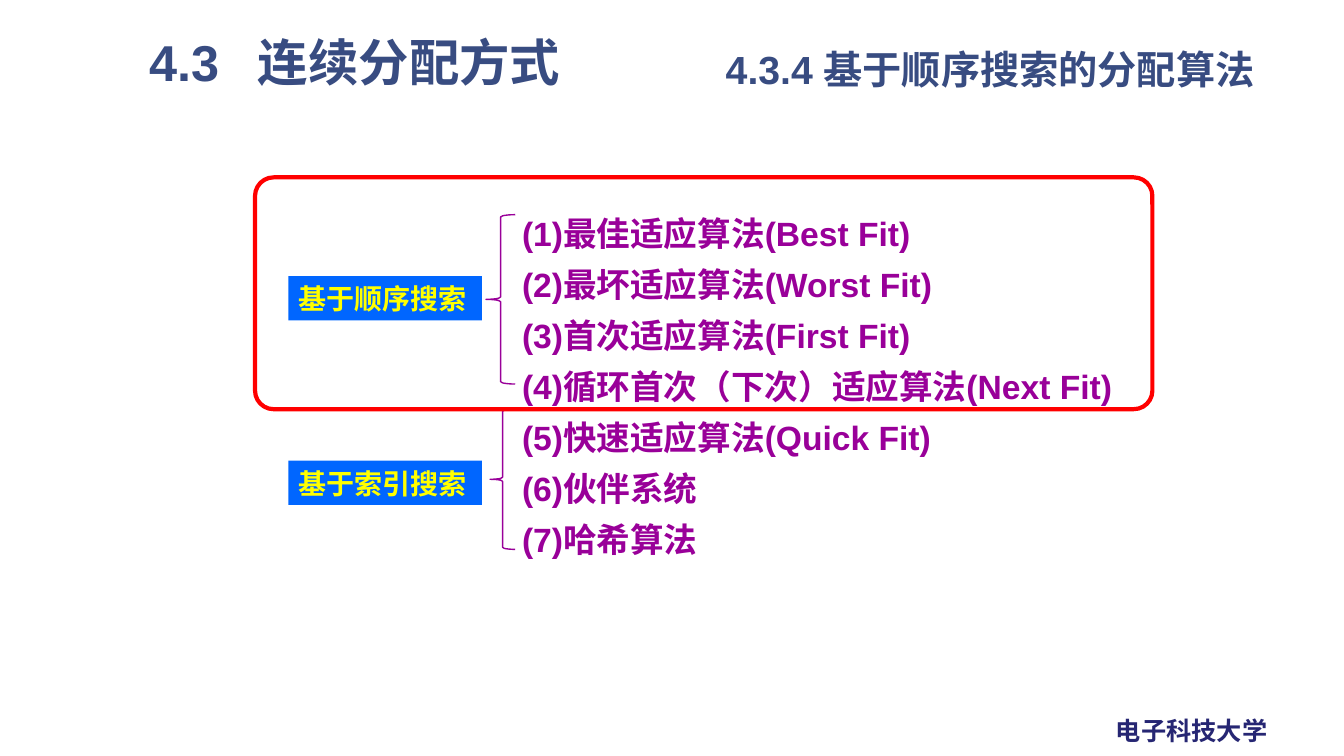
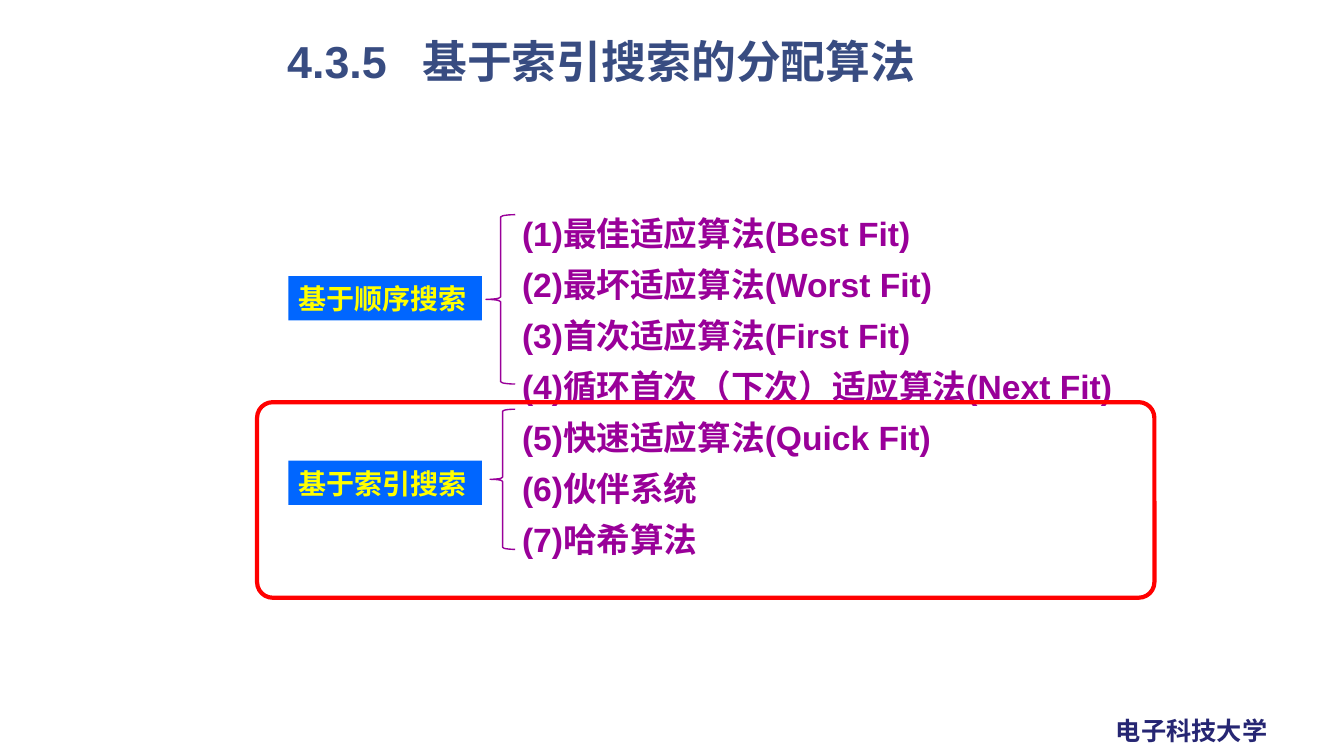
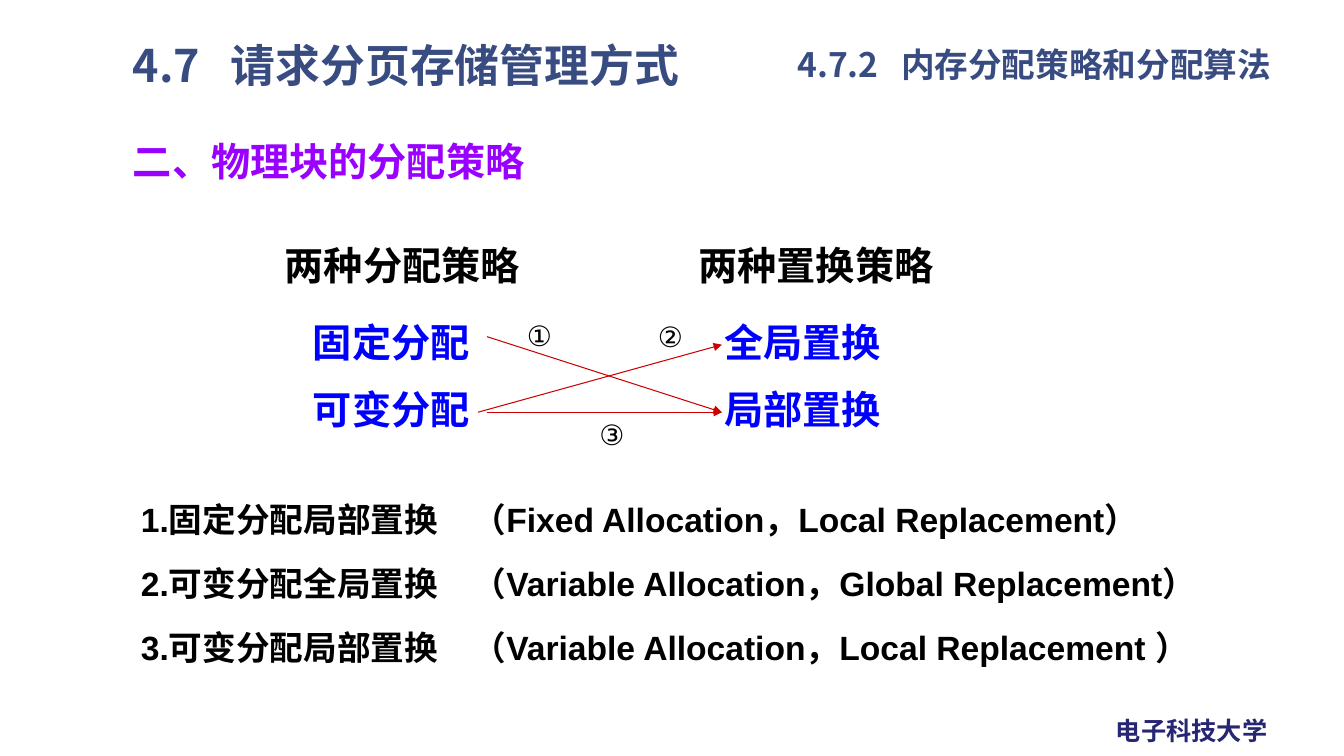
from lxml import etree
from pptx import Presentation
from pptx.dml.color import RGBColor
from pptx.enum.shapes import MSO_CONNECTOR, MSO_SHAPE
from pptx.enum.text import MSO_ANCHOR, PP_ALIGN
from pptx.oxml.ns import qn
from pptx.util import Inches, Pt

LEFT, CENTER = PP_ALIGN.LEFT, PP_ALIGN.CENTER
MIDDLE = MSO_ANCHOR.MIDDLE
RECT, ROUND = MSO_SHAPE.RECTANGLE, MSO_SHAPE.ROUNDED_RECTANGLE
BRACE = MSO_SHAPE.LEFT_BRACE
STRAIGHT = MSO_CONNECTOR.STRAIGHT

NAVY = RGBColor(0x26, 0x26, 0x73)
SLATE = RGBColor(0x38, 0x4C, 0x81)
PURPLE = RGBColor(0x99, 0x00, 0x99)
VIOLET = RGBColor(0x99, 0x00, 0xFF)
BLUE = RGBColor(0x00, 0x00, 0xFF)
AZURE = RGBColor(0x00, 0x66, 0xFF)
YELLOW = RGBColor(0xFF, 0xFF, 0x00)
RED = RGBColor(0xFF, 0x00, 0x00)
CRIMSON = RGBColor(0xCC, 0x00, 0x00)
BLACK = RGBColor(0x00, 0x00, 0x00)

ARIAL, NOTO = "Arial", "Noto Sans CJK SC"

METHODS = [
    "(1)最佳适应算法(Best Fit)",
    "(2)最坏适应算法(Worst Fit)",
    "(3)首次适应算法(First Fit)",
    "(4)循环首次（下次）适应算法(Next Fit)",
    "(5)快速适应算法(Quick Fit)",
    "(6)伙伴系统",
    "(7)哈希算法",
]
GROUPS = [
    ("基于顺序搜索", 2.74, (4.82, 2.13, 0.29, 1.68)),
    ("基于索引搜索", 4.57, (4.86, 4.06, 0.25, 1.39)),
]
PAIRS = [
    ("固定分配", "可变分配", 3),
    ("全局置换", "局部置换", 7.08),
]
ARROWS = [
    ("①", 4.83, 3.34, 4.09, 5.11, 3.11),
    ("②", 4.74, 4.09, 3.42, 6.41, 3.12),
    ("③", 4.83, 4.09, 4.09, 5.83, 4.09),
]
RESULTS = [
    "1.固定分配局部置换\t（Fixed Allocation，Local Replacement）",
    "2.可变分配全局置换\t（Variable Allocation，Global Replacement）",
    "3.可变分配局部置换\t（Variable Allocation，Local Replacement ）",
]


class Deck:
    def __init__(self):
        self.show = Presentation()
        self.show.slide_width = Inches(13.33)
        self.show.slide_height = Inches(7.5)
        self.slide = None

    def page(self):
        self.slide = self.show.slides.add_slide(self.show.slide_layouts[6])
        self.text((10.97, 7.05, 1.72, 0.4), ["电子科技大学"], 18, NAVY)

    def label(self, shape, lines, size, color, align=LEFT, font=ARIAL,
              bold=True, tab=None, pitch=None):
        frame = shape.text_frame
        frame.word_wrap = True
        frame.vertical_anchor = MIDDLE
        if align == CENTER:
            frame.margin_left = frame.margin_right = 0
        for i, line in enumerate(lines):
            para = frame.paragraphs[0] if i == 0 else frame.add_paragraph()
            para.text = line
            para.alignment = align
            if pitch:
                para.line_spacing = Pt(1.2 * size)
                if i:
                    para.space_before = Pt(pitch - 1.2 * size)
            props = para._p.get_or_add_pPr()
            if tab:
                stops = etree.SubElement(props, qn("a:tabLst"))
                etree.SubElement(stops, qn("a:tab"),
                                 pos=str(Inches(tab)), algn="l")
            face = para.font
            face.size, face.bold, face.name = Pt(size), bold, font
            face.color.rgb = color
            etree.SubElement(props.find(qn("a:defRPr")), qn("a:ea"),
                             typeface=NOTO)

    def text(self, place, lines, size, color, **style):
        box = self.slide.shapes.add_textbox(*map(Inches, place))
        self.label(box, lines, size, color, **style)

    def title(self, place, line, size, **style):
        self.text(place, [line], size, SLATE, **style)

    def shape(self, kind, place, fill=None, line=None, width=1, bend=None):
        item = self.slide.shapes.add_shape(kind, *map(Inches, place))
        item.shadow.inherit = False
        if fill is None:
            item.fill.background()
        else:
            item.fill.solid()
            item.fill.fore_color.rgb = fill
        if line is None:
            item.line.fill.background()
        else:
            item.line.color.rgb = line
            item.line.width = Pt(width)
        if bend:
            item.adjustments[0] = bend
        return item

    def arrow(self, *ends):
        link = self.slide.shapes.add_connector(STRAIGHT, *map(Inches, ends))
        link.line.color.rgb = CRIMSON
        link.line.width = Pt(0.75)
        props = link._element.spPr
        etree.SubElement(props.find(qn("a:ln")), qn("a:tailEnd"),
                         type="triangle")
        etree.SubElement(props, qn("a:effectLst"))

    def methods(self, frame):
        self.text((5.08, 2.1, 6.4, 3.46), METHODS, 24, PURPLE, pitch=36.4)
        for name, top, brace in GROUPS:
            self.shape(BRACE, brace, line=PURPLE, bend=0.08)
            tag = self.shape(RECT, (2.86, top, 1.92, 0.44), fill=AZURE)
            self.label(tag, [name], 20, YELLOW)
        self.shape(ROUND, frame, line=RED, width=3, bend=0.08)


def main():
    deck = Deck()

    deck.page()
    deck.title((7.1, 0.35, 5.8, 0.67), "4.3.4 基于顺序搜索的分配算法", 28)
    deck.title((1.38, 0.31, 5.04, 0.6), "4.3\t连续分配方式", 36, tab=1.08)
    deck.methods((2.53, 1.76, 8.9, 2.3))

    deck.page()
    deck.title((2.75, 0.27, 8.08, 0.67), "4.3.5\t基于索引搜索的分配算法", 32,
               tab=1.34)
    deck.methods((2.55, 3.99, 8.9, 1.94))

    deck.page()
    deck.title((7.81, 0.34, 5.16, 0.59), "4.7.2\t内存分配策略和分配算法", 24,
               font=NOTO, tab=1.03)
    deck.title((1.22, 0.34, 5.78, 0.6), "4.7\t请求分页存储管理方式", 32,
               font=NOTO, tab=0.97)
    deck.text((1.22, 1.31, 9.44, 0.57), ["二、物理块的分配策略"], 28, VIOLET)
    deck.text((2.65, 2.34, 2.68, 0.57), ["两种分配策略"], 28, BLACK,
              align=CENTER)
    deck.text((6.83, 2.34, 2.67, 0.57), ["两种置换策略"], 28, BLACK)
    for first, second, left in PAIRS:
        deck.text((left, 3.09, 1.76, 1.27), [first, second], 28, BLUE,
                  align=CENTER, pitch=48)
    for mark, left, start, end, x, y in ARROWS:
        deck.arrow(left, start, 7.16, end)
        deck.text((x, y, 0.48, 0.43), [mark], 20, BLACK, align=CENTER,
                  bold=False)
    deck.text((1.3, 4.78, 11.04, 2), RESULTS, 24, BLACK, tab=3.29,
              pitch=45.7)

    deck.show.save("out.pptx")


if __name__ == "__main__":
    main()
